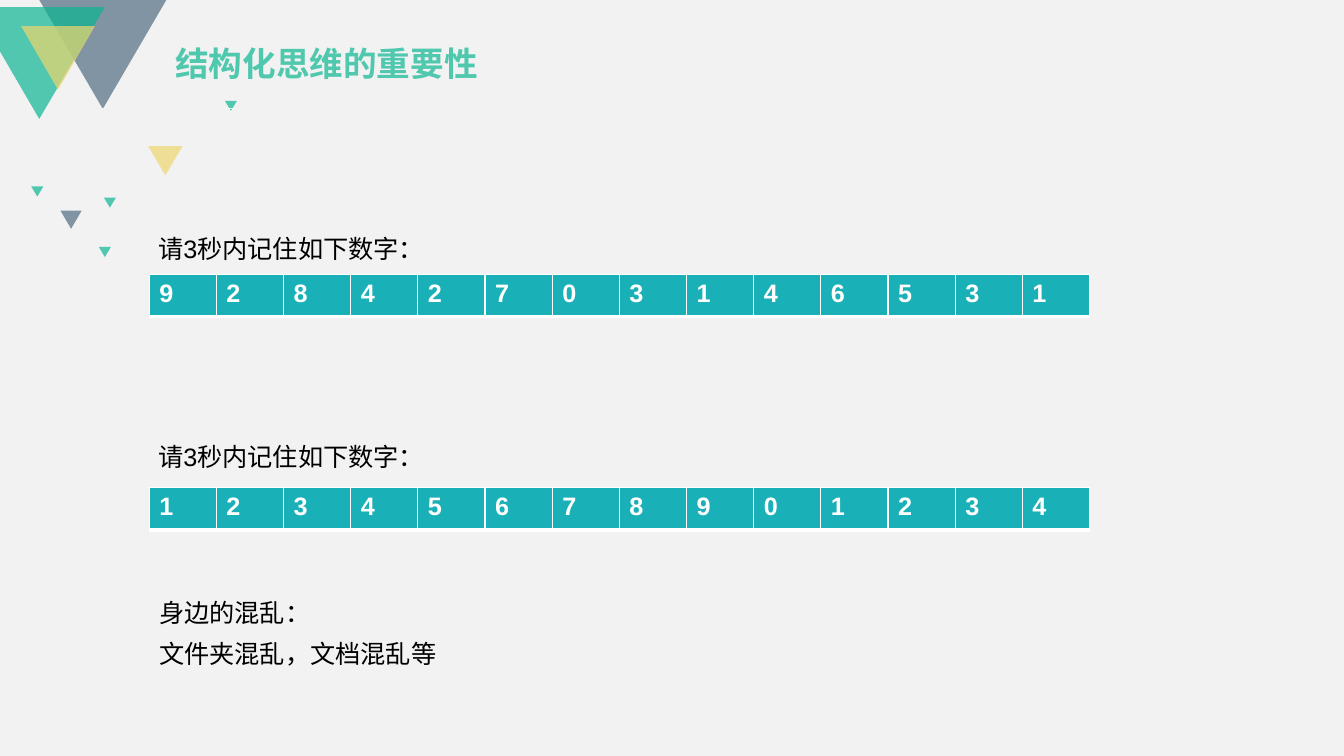
from lxml.etree import SubElement
from pptx import Presentation
from pptx.dml.color import RGBColor
from pptx.enum.shapes import MSO_CONNECTOR, MSO_SHAPE
from pptx.enum.text import MSO_ANCHOR, MSO_AUTO_SIZE
from pptx.oxml.ns import qn
from pptx.util import Inches, Pt

GREEN, SLATE, GOLD = "0CB692", "516D82", "EED66F"
MINT, TEAL, WHITE, BLACK, PALE = "50C8AE", "1AB0B8", "FFFFFF", "000000", "F2F2F2"
FONT = "Arial"


def paint(fill, color):
    fill.solid()
    fill.fore_color.rgb = RGBColor.from_string(color)


def tint(shape, color):
    """Flat fill at 70 % opacity, without outline or shadow."""
    shape.shadow.inherit = False
    shape.line.fill.background()
    paint(shape.fill, color)
    tone = shape.fill._xPr.find(qn("a:solidFill"))[0]
    SubElement(tone, qn("a:alpha"), val="70000")


def add_outline(slide, points, color):
    spots = [(Inches(x), Inches(y)) for x, y in points]
    builder = slide.shapes.build_freeform(*spots[0])
    builder.add_line_segments(spots[1:], close=True)
    tint(builder.convert_to_shape(), color)


def add_triangle(slide, left, top, width, height, color):
    shape = slide.shapes.add_shape(
        MSO_SHAPE.ISOSCELES_TRIANGLE,
        Inches(left), Inches(top), Inches(width), Inches(height))
    shape.rotation = 180
    tint(shape, color)


def add_rule(slide, left, right, top):
    line = slide.shapes.add_connector(
        MSO_CONNECTOR.STRAIGHT,
        Inches(left), Inches(top), Inches(right), Inches(top))
    line.line.width = Pt(0.5)
    paint(line.line.fill, PALE)
    SubElement(line._element.spPr, qn("a:effectLst"))


def style(frame, size, color, bold=False):
    for run in frame.paragraphs[0].runs:
        run.font.name = FONT
        run.font.size = Pt(size)
        run.font.bold = bold
        run.font.color.rgb = RGBColor.from_string(color)


def add_text(slide, text, left, top, width, height=0.4,
             size=18, color=BLACK, bold=False, wrap=False):
    box = slide.shapes.add_textbox(
        Inches(left), Inches(top), Inches(width), Inches(height))
    frame = box.text_frame
    frame.text = text
    frame.word_wrap = wrap
    frame.auto_size = MSO_AUTO_SIZE.SHAPE_TO_FIT_TEXT
    style(frame, size, color, bold)
    return frame


def add_border(cell, side, width):
    props = cell._tc.get_or_add_tcPr()
    edge = SubElement(props, qn(f"a:ln{side}"), w=str(Pt(width)))
    fill = SubElement(edge, qn("a:solidFill"))
    SubElement(fill, qn("a:srgbClr"), val=WHITE)


def add_digits(slide, digits, top):
    table = slide.shapes.add_table(
        1, len(digits), Inches(1.48), Inches(top),
        Inches(9.33), Inches(0.42)).table
    for cell, digit in zip(table.iter_cells(), digits):
        cell.text = digit
        style(cell.text_frame, 18, WHITE, True)
        for side, width in (("L", 1), ("R", 1), ("T", 1), ("B", 3)):
            add_border(cell, side, width)
        paint(cell.fill, TEAL)


def main():
    deck = Presentation()
    deck.slide_width, deck.slide_height = Inches(13.33), Inches(7.5)
    slide = deck.slides.add_slide(deck.slide_layouts[6])
    paint(slide.background.fill, PALE)

    # Corner ornament
    add_outline(slide, [(1.65, 0), (0.39, 0), (1.02, 1.08)], SLATE)
    add_outline(slide, [(1.04, 0.07), (0, 0.07), (0, 0.51), (0.39, 1.18)], GREEN)
    add_triangle(slide, 0.21, 0.26, 0.73, 0.63, GOLD)
    add_triangle(slide, 1.47, 1.45, 0.34, 0.29, GOLD)
    add_triangle(slide, 0.6, 2.09, 0.21, 0.18, SLATE)
    for left, top in ((0.31, 1.85), (0.98, 2.45), (1.03, 1.96), (2.23, 1)):
        add_triangle(slide, left, top, 0.12, 0.1, GREEN)

    # Title
    add_rule(slide, 0.46, 12.87, 1.08)
    title = add_text(slide, "结构化思维的重要性", 1.64, 0.17, 5.91, 0.71,
                     size=24, color=MINT, bold=True, wrap=True)
    title.vertical_anchor = MSO_ANCHOR.MIDDLE
    title.paragraphs[0].line_spacing = 1.5

    # Memory tests
    for digits, head, top in (("92842703146531", 2.27, 2.72),
                              ("12345678901234", 4.33, 4.84)):
        add_text(slide, "请3秒内记住如下数字：", 1.47, head, 2.84)
        add_digits(slide, digits, top)

    # Everyday examples
    add_text(slide, "身边的混乱：", 1.48, 5.88, 1.7)
    add_text(slide, "文件夹混乱，文档混乱等", 1.48, 6.28, 2.95)

    deck.save("out.pptx")


if __name__ == "__main__":
    main()
